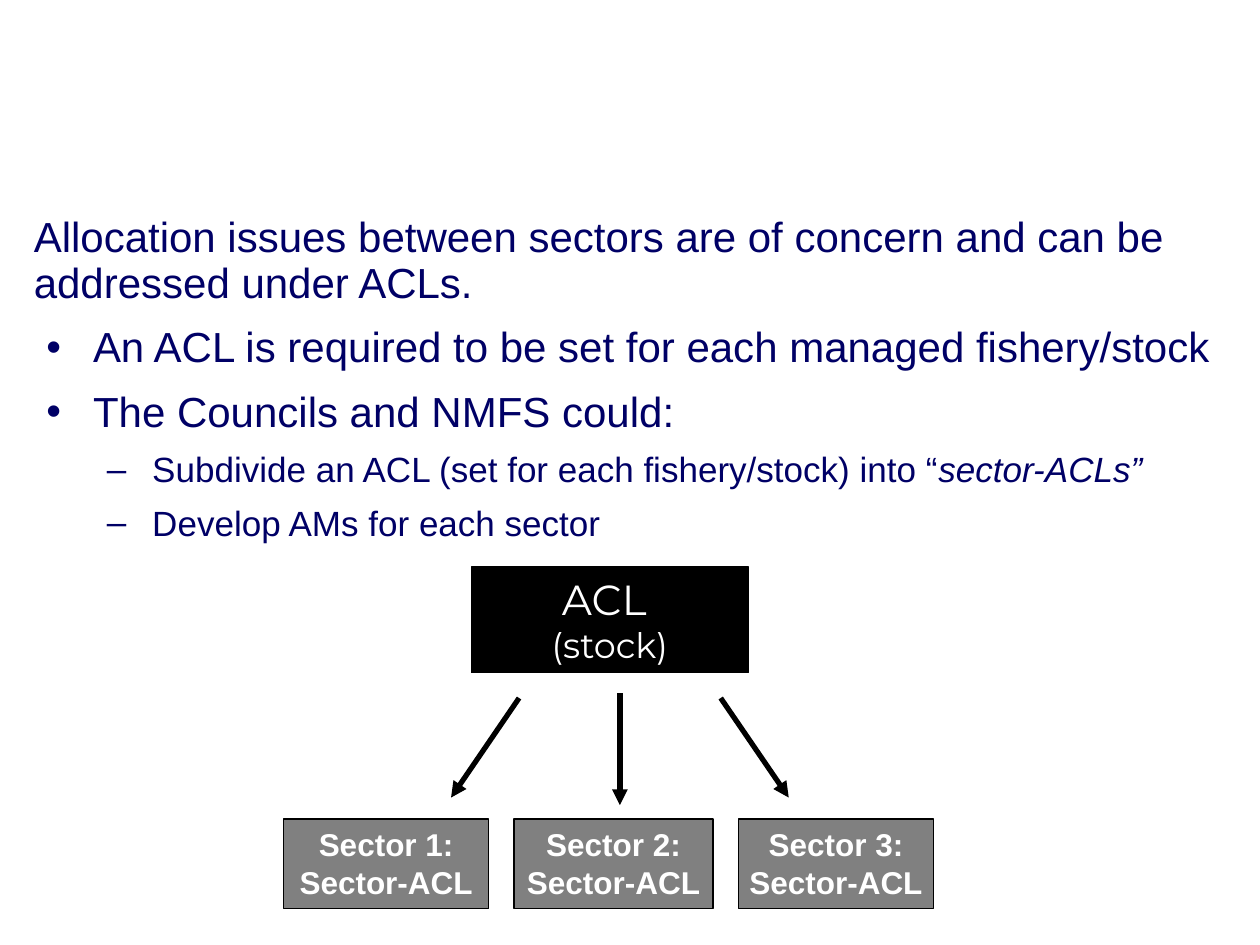
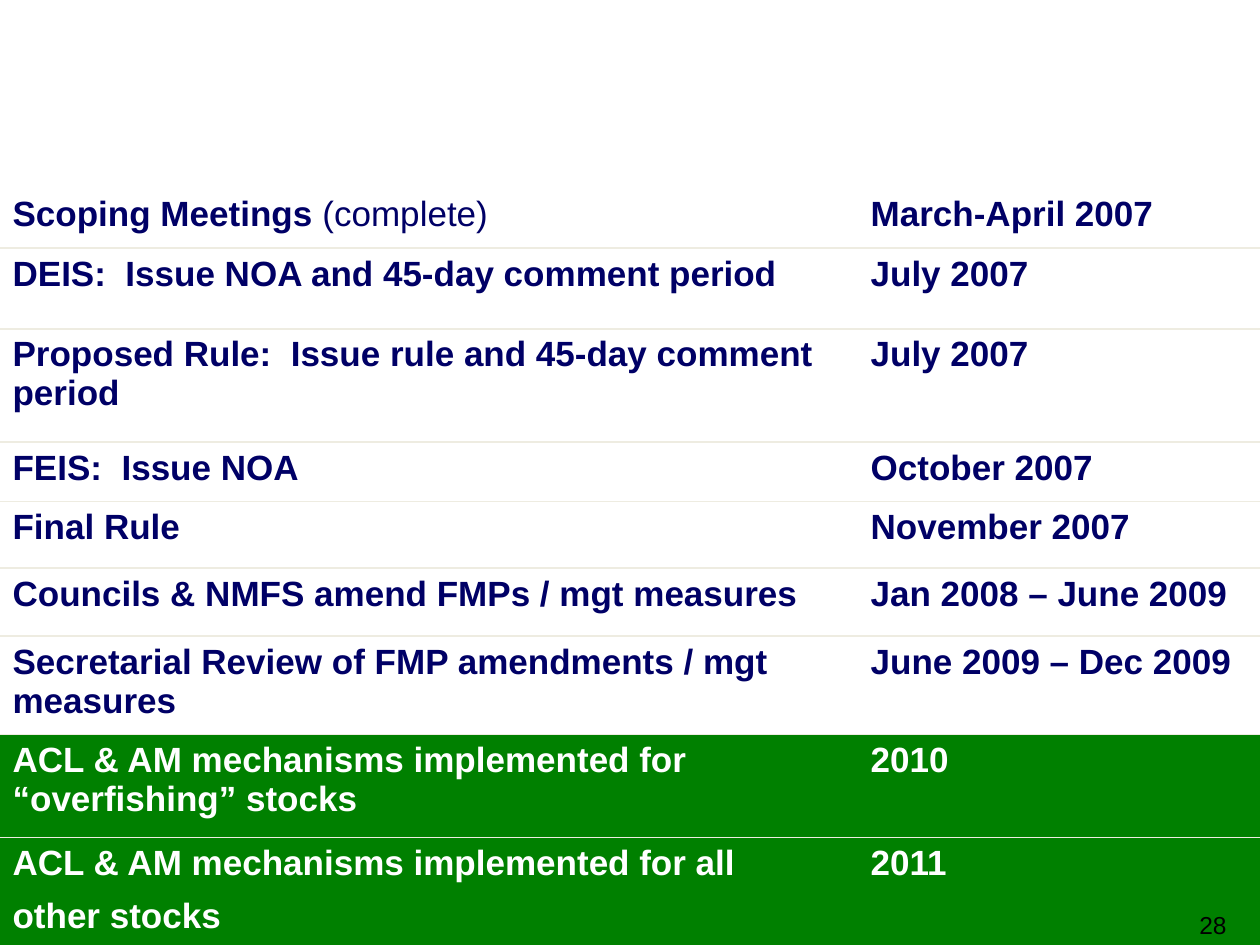
from lxml import etree
from pptx import Presentation
from pptx.dml.color import RGBColor
from pptx.enum.shapes import MSO_CONNECTOR, MSO_SHAPE
from pptx.enum.text import MSO_ANCHOR, PP_ALIGN
from pptx.oxml.ns import qn
from pptx.util import Inches, Pt

COLORS = {
    "navy": "000066",
    "black": "000000",
    "white": "FFFFFF",
    "gray": "808080",
    "green": "008000",
    "rule": "EEECE1",
}

POINTS = [
    (0, ["Allocation issues between sectors are of concern and can be addressed under ACLs."]),
    (1, ["An ACL is required to be set for each managed fishery/stock"]),
    (1, ["The Councils and NMFS could:"]),
    (2, ["Subdivide an ACL (set for each fishery/stock) into “", "sector-ACLs”"]),
    (2, ["Develop AMs for each sector"]),
]

# Bullet, left margin, hanging indent, text size and space before for each level
LEVELS = {
    0: dict(bullet=None, margin=0, hanging=0, size=24, before=11),
    1: dict(bullet="•", margin=0.47, hanging=0.37, size=24, before=11),
    2: dict(bullet="–", margin=0.94, hanging=0.36, size=20, before=9),
}

# Row height, lines of the milestone, date
TIMELINE = [
    (0.47, ["Scoping Meetings "], "March-April 2007"),
    (0.64, ["DEIS:  Issue NOA and 45-day comment period"], "July 2007"),
    (0.9, ["Proposed Rule:  Issue rule and 45-day comment period"], "July 2007"),
    (0.47, ["FEIS:  Issue NOA"], "October 2007"),
    (0.53, ["Final Rule"], "November 2007"),
    (0.54, ["Councils & NMFS amend FMPs / mgt measures"], "Jan 2008 – June 2009"),
    (0.78, ["Secretarial Review of FMP amendments / mgt measures"], "June 2009 – Dec 2009"),
    (0.82, ["ACL & AM mechanisms implemented for “overfishing” stocks"], "2010"),
    (0.85, ["ACL & AM mechanisms implemented for all", "other stocks"], "2011"),
]
IMPLEMENTED_ROWS = 2


def rgb(name):
    return RGBColor.from_string(COLORS[name])


def add_run(paragraph, text, size=20, color="navy", font="Arial", bold=False, italic=False):
    run = paragraph.add_run()
    run.text = text
    run.font.name = font
    run.font.size = Pt(size)
    run.font.color.rgb = rgb(color)
    run.font.bold = bold
    run.font.italic = italic
    return run


def next_paragraph(frame):
    """Return the first paragraph while it is empty, and a new one after that."""
    first = frame.paragraphs[0]
    return frame.add_paragraph() if first.runs else first


def set_bullet(paragraph, bullet, margin, hanging):
    properties = paragraph._p.get_or_add_pPr()
    properties.set("marL", str(Inches(margin)))
    properties.set("indent", str(-Inches(hanging)))
    if bullet:
        etree.SubElement(properties, qn("a:buFont")).set("typeface", "Arial")
        etree.SubElement(properties, qn("a:buChar")).set("char", bullet)
    else:
        etree.SubElement(properties, qn("a:buNone"))


def set_borders(cell, bottom=None, top=None):
    """Draw rules above and below the cell, and no line on its other sides."""
    properties = cell._tc.get_or_add_tcPr()
    sides = {"a:lnL": None, "a:lnR": None, "a:lnT": top, "a:lnB": bottom}
    for position, (tag, color) in enumerate(sides.items()):
        line = etree.Element(qn(tag), w=str(Pt(1)))
        if color:
            fill = etree.SubElement(line, qn("a:solidFill"))
            etree.SubElement(fill, qn("a:srgbClr")).set("val", COLORS[color])
        else:
            etree.SubElement(line, qn("a:noFill"))
        properties.insert(position, line)


class Deck:
    def __init__(self):
        self.presentation = Presentation()
        self.presentation.slide_width = Inches(10)
        self.presentation.slide_height = Inches(7.5)
        self.slide = None

    def new_slide(self):
        self.slide = self.presentation.slides.add_slide(self.presentation.slide_layouts[6])
        self.slide.background.fill.solid()
        self.slide.background.fill.fore_color.rgb = rgb("white")

    def text_box(self, left, top, width, height):
        box = self.slide.shapes.add_textbox(
            Inches(left), Inches(top), Inches(width), Inches(height))
        box.text_frame.word_wrap = True
        return box.text_frame

    def outline(self, frame, points):
        for level, parts in points:
            style = LEVELS[level]
            paragraph = next_paragraph(frame)
            set_bullet(paragraph, style["bullet"], style["margin"], style["hanging"])
            paragraph.line_spacing = 0.9
            paragraph.space_before = Pt(style["before"] if len(frame.paragraphs) > 1 else 0)
            for index, part in enumerate(parts):
                add_run(paragraph, part, size=style["size"], italic=index > 0)

    def box(self, left, top, width, height, fill, lines):
        """Draw a filled box; lines holds (text, format) pairs."""
        shape = self.slide.shapes.add_shape(
            MSO_SHAPE.RECTANGLE, Inches(left), Inches(top), Inches(width), Inches(height))
        shape.shadow.inherit = False
        shape.fill.solid()
        shape.fill.fore_color.rgb = rgb(fill)
        shape.line.color.rgb = rgb("black")
        shape.line.width = Pt(0.75)
        frame = shape.text_frame
        frame.margin_left = frame.margin_right = 0
        frame.vertical_anchor = MSO_ANCHOR.TOP
        for text, text_format in lines:
            paragraph = next_paragraph(frame)
            paragraph.alignment = PP_ALIGN.CENTER
            add_run(paragraph, text, color="white", **text_format)

    def arrow(self, start, end):
        connector = self.slide.shapes.add_connector(
            MSO_CONNECTOR.STRAIGHT, *map(Inches, start + end))
        connector.line.color.rgb = rgb("black")
        connector.line.width = Pt(3)
        etree.SubElement(connector.line._get_or_add_ln(), qn("a:tailEnd")).set("type", "triangle")
        etree.SubElement(connector._element.spPr, qn("a:effectLst"))

    def timeline(self, left, top, column_widths, rows):
        height = sum(row[0] for row in rows)
        table = self.slide.shapes.add_table(
            len(rows), len(column_widths), Inches(left), Inches(top),
            Inches(sum(column_widths)), Inches(height)).table
        table.first_row = table.horz_banding = False
        for column, width in zip(table.columns, column_widths):
            column.width = Inches(width)
        last = len(rows) - 1
        for index, (row_height, milestone, date) in enumerate(rows):
            table.rows[index].height = Inches(row_height)
            implemented = index > last - IMPLEMENTED_ROWS
            for cell, lines in zip(table.rows[index].cells, (milestone, [date])):
                if implemented:
                    cell.fill.solid()
                    cell.fill.fore_color.rgb = rgb("green")
                else:
                    cell.fill.background()
                set_borders(cell, bottom="rule" if index < last else None,
                            top="rule" if index > 0 else None)
                for number, line in enumerate(lines):
                    paragraph = next_paragraph(cell.text_frame)
                    paragraph.space_before = Pt(8 if number else 0)
                    add_run(paragraph, line, bold=True,
                            color="white" if implemented else "navy")
        return table


def build_allocation_slide(deck):
    deck.new_slide()
    deck.outline(deck.text_box(0.17, 1.67, 9.83, 2.75), POINTS)

    deck.box(3.74, 4.5, 2.2, 0.84, "black", [
        ("ACL ", dict(size=24, font="Montserrat")),
        ("(stock)", dict(size=20, font="Montserrat")),
    ])

    center = 4.92
    deck.arrow((center, 5.5), (center, 6.39))
    for side in (-1, 1):
        deck.arrow((center + side * 0.8, 5.54), (center + side * 1.34, 6.33))

    sector_format = dict(size=18, bold=True)
    left, gap = 2.25, 0.2
    for number, width in enumerate((1.63, 1.58, 1.55), start=1):
        deck.box(left, 6.5, width, 0.71, "gray", [
            (f"Sector {number}:", sector_format),
            ("Sector-ACL", sector_format),
        ])
        left += width + gap


def build_schedule_slide(deck):
    deck.new_slide()
    table = deck.timeline(0, 1.5, (6.81, 3.19), TIMELINE)
    add_run(table.cell(0, 0).text_frame.paragraphs[0], "(complete)")

    page_number = deck.text_box(9.42, 7.17, 0.58, 0.33)
    add_run(page_number.paragraphs[0], "28", size=14, color="black")


def main():
    deck = Deck()
    build_allocation_slide(deck)
    build_schedule_slide(deck)
    deck.presentation.save("out.pptx")


if __name__ == "__main__":
    main()
